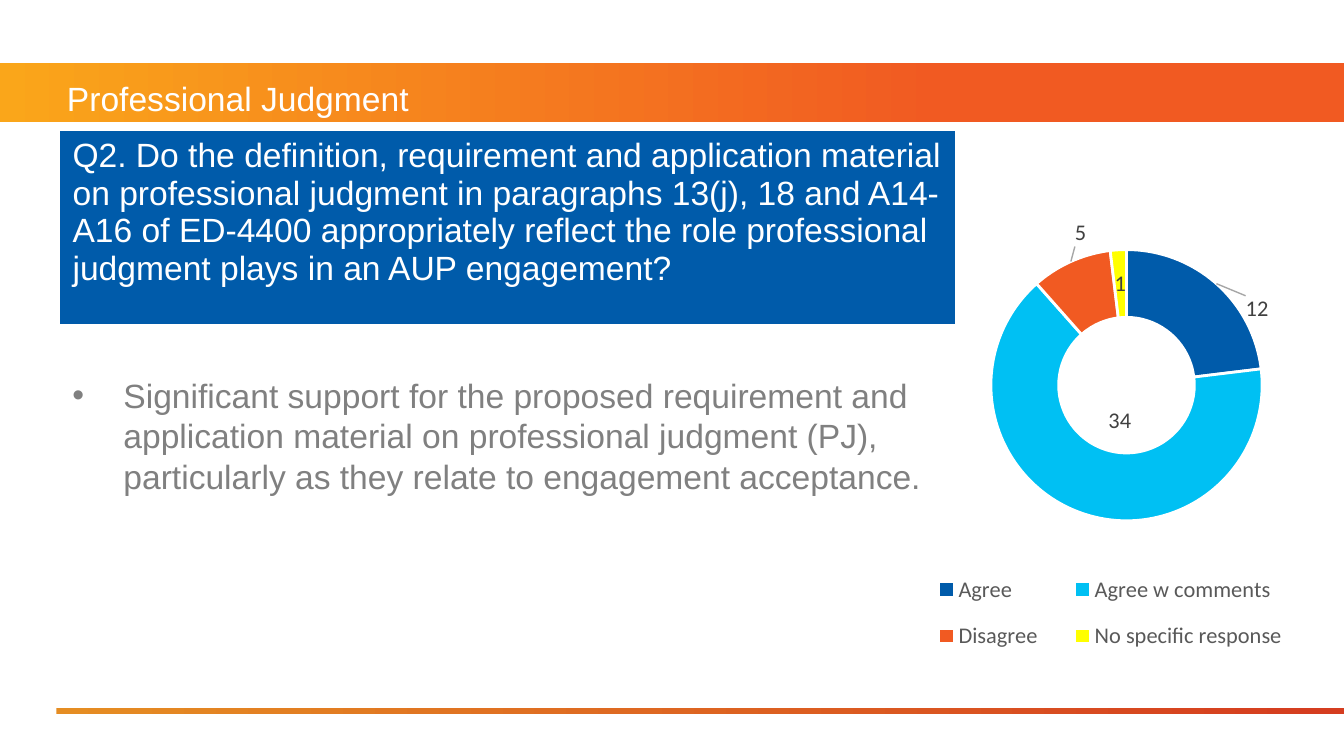
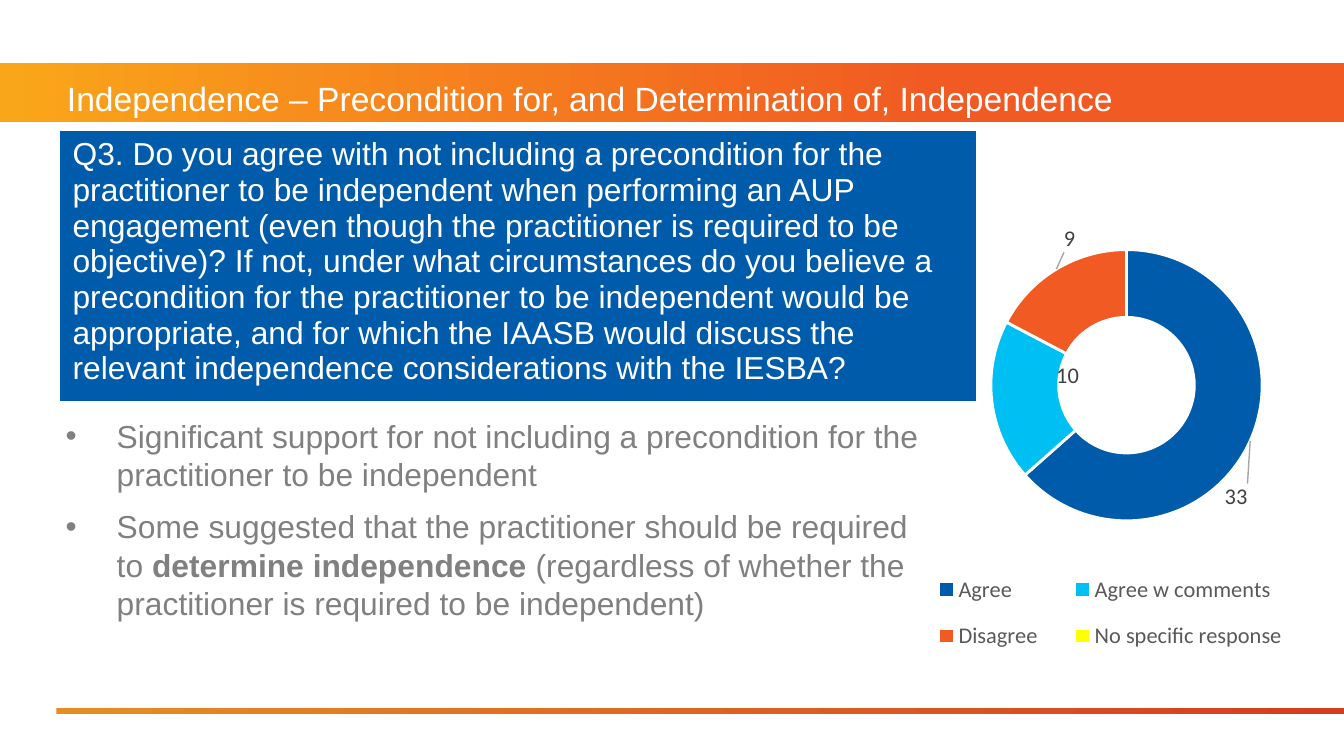
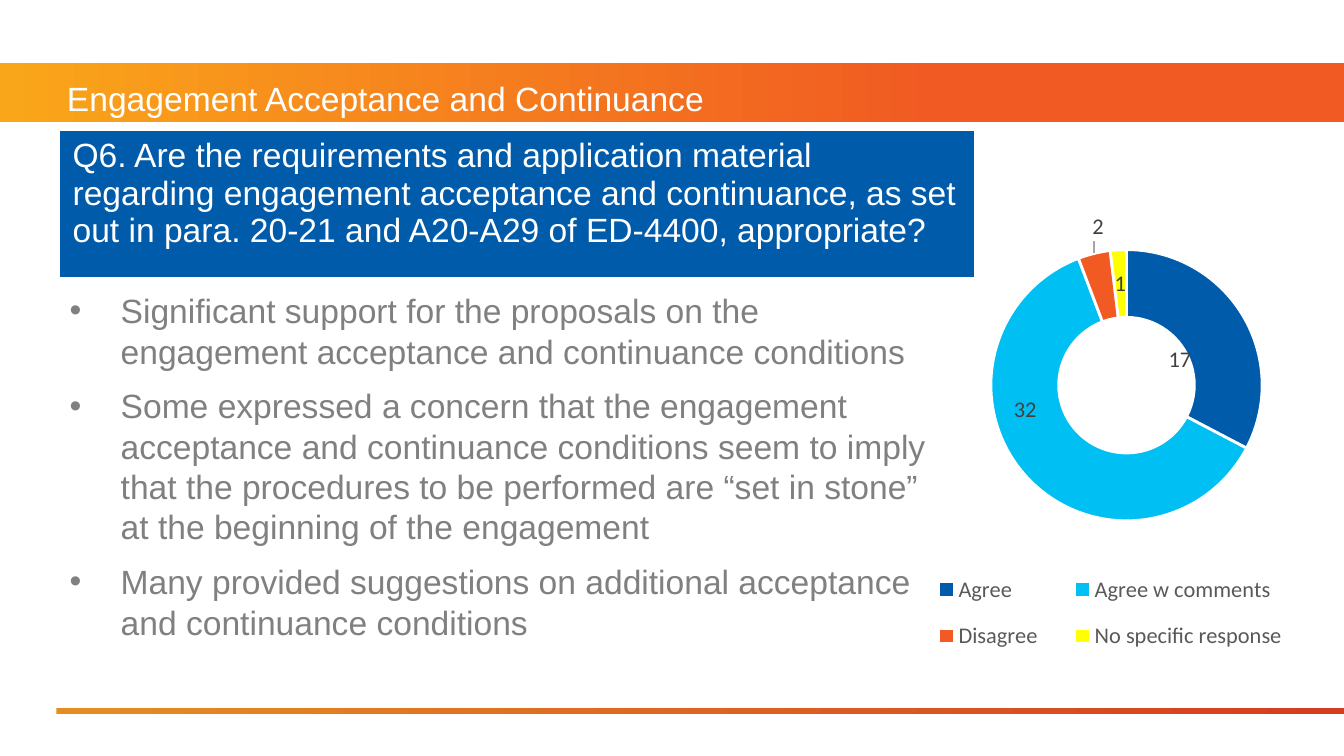
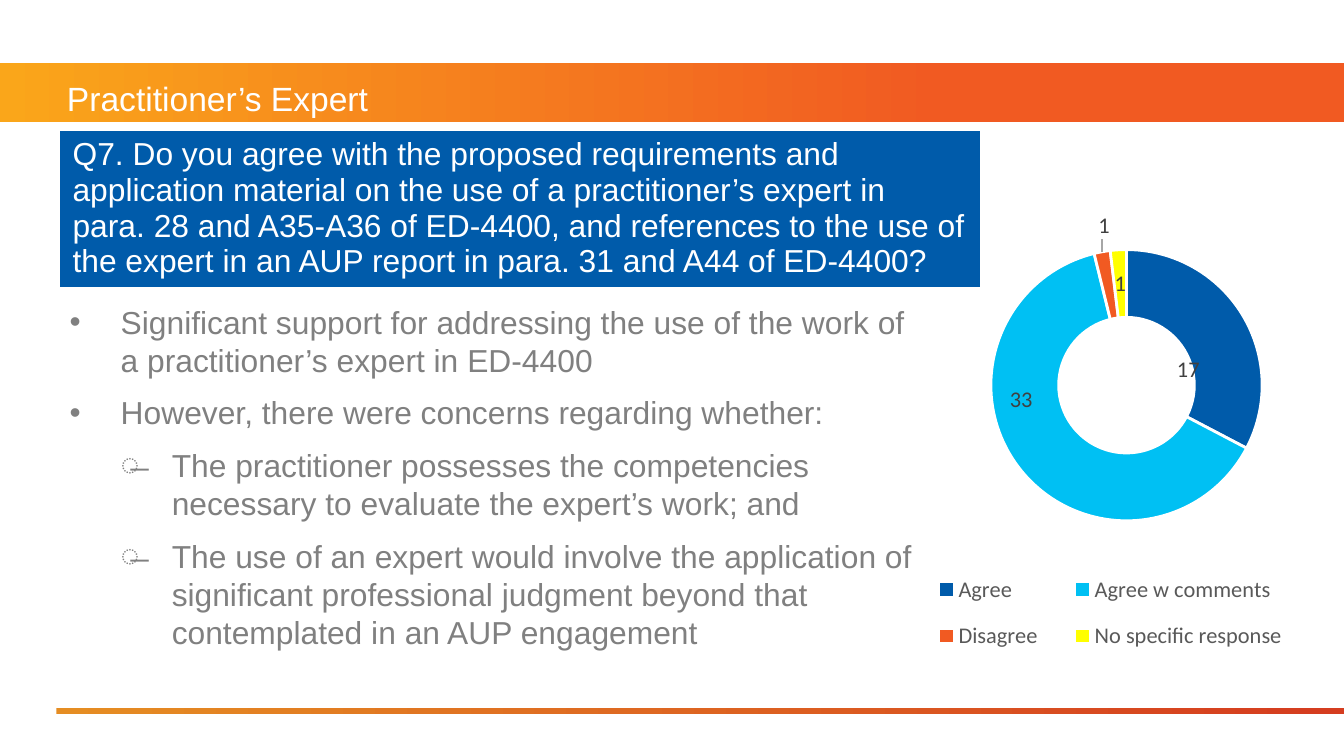
import copy
import lxml.etree
import pptx
import pptx.chart.data
import pptx.dml.color
import pptx.enum.chart
import pptx.enum.shapes
import pptx.enum.text
import pptx.oxml
import pptx.oxml.ns
import pptx.util

Inches = pptx.util.Inches
qn = pptx.oxml.ns.qn

COLORS = {
    "white": "FFFFFF", "gray": "808080", "blue": "005BAA", "cyan": "00C0F3",
    "orange": "F15A22", "yellow": "FFFF00", "amber": "FAA61A",
    "footer_start": "E58D23", "footer_end": "D53D20",
    "label": "404040", "legend": "595959", "leader": "A6A6A6", "black": "000000",
}
RGB = {name: pptx.dml.color.RGBColor.from_string(value) for name, value in COLORS.items()}

CATEGORIES = ["Agree", "Agree w comments", "Disagree", "No specific response"]
POINT_COLORS = ["blue", "cyan", "orange", "yellow"]
BULLETS = ["•", "̶"]

BANDS = [
    (0, 0.47, 10, 0.44, [("amber", 0), ("orange", 0.7)]),
    (0.42, 5.27, 9.58, 0.04, [("footer_start", 0), ("footer_end", 0.99)]),
]

SLIDES = [
    {
        "title": "Professional Judgment",
        "size": 18,
        "question": "Q2. Do the definition, requirement and application material on professional judgment in paragraphs 13(j), 18 and A14-A16 of ED-4400 appropriately reflect the role professional judgment plays in an AUP engagement?",
        "question_size": (6.67, 1.46),
        "body_box": (0.44, 2.74, 6.69, 1.92),
        "body": [
            (0, ["Significant support for the proposed requirement and application material on professional judgment (PJ), particularly as they relate to engagement acceptance."]),
        ],
        "values": [12, 34, 5, 1],
        "label_offsets": [(0.15, 0), (0.07, -0.11), (-0.01, -0.11)],
    },
    {
        "title": "Independence – Precondition for, and Determination of, Independence",
        "size": 17,
        "question": "Q3. Do you agree with not including a precondition for the practitioner to be independent when performing an AUP engagement (even though the practitioner is required to be objective)? If not, under what circumstances do you believe a precondition for the practitioner to be independent would be appropriate, and for which the IAASB would discuss the relevant independence considerations with the IESBA?",
        "question_size": (6.83, 2.03),
        "body_box": (0.39, 3.05, 6.72, 1.63),
        "body": [
            (0, ["Significant support for not including a precondition for the practitioner to be independent"]),
            (0, ["Some suggested that the practitioner should be required to ",
                 "determine independence ",
                 "(regardless of whether the practitioner is required to be independent)"]),
        ],
        "values": [33, 10, 9, 0],
        "label_offsets": [(0.04, 0.13), (0.1, -0.04), (-0.01, -0.11)],
    },
    {
        "title": "Engagement Acceptance and Continuance",
        "size": 18,
        "question": "Q6. Are the requirements and application material regarding engagement acceptance and continuance, as set out in para. 20-21 and A20-A29 of ED-4400, appropriate?",
        "question_size": (6.81, 1.11),
        "body_box": (0.42, 2.11, 6.6, 2.88),
        "body": [
            (0, ["Significant support for the proposals on the engagement acceptance and continuance conditions"]),
            (0, ["Some expressed a concern that the engagement acceptance and continuance conditions seem to imply that the procedures to be performed are “set in stone” at the beginning of the engagement"]),
            (0, ["Many provided suggestions on additional acceptance and continuance conditions"]),
        ],
        "values": [17, 32, 2, 1],
        "label_offsets": [(-0.08, 0.05), (-0.06, -0.08), (-0.01, -0.11)],
    },
    {
        "title": "Practitioner’s Expert",
        "size": 17,
        "question": "Q7. Do you agree with the proposed requirements and application material on the use of a practitioner’s expert in para. 28 and A35-A36 of ED-4400, and references to the use of the expert in an AUP report in para. 31 and A44 of ED-4400?",
        "question_size": (6.86, 1.11),
        "body_box": (0.42, 2.2, 6.6, 2.89),
        "body": [
            (0, ["Significant support for addressing the use of the work of a practitioner’s expert in ED-4400"]),
            (0, ["However, there were concerns regarding whether:"]),
            (1, ["The practitioner possesses the competencies necessary to evaluate the expert’s work; and"]),
            (1, ["The use of an expert would involve the application of significant professional judgment beyond that contemplated in an AUP engagement"]),
        ],
        "values": [17, 33, 1, 1],
        "label_offsets": [(-0.06, 0.07), (-0.06, -0.09), (-0.01, -0.11)],
    },
]


def write_text(paragraph, pieces, size=18, color="white", level=None, space_before=0):
    if level is not None:
        properties = paragraph._p.get_or_add_pPr()
        properties.set("marL", str(Inches(0.38 * (level + 1))))
        properties.set("indent", str(Inches(-0.38)))
        lxml.etree.SubElement(properties, qn("a:buFont")).set("typeface", "Arial")
        lxml.etree.SubElement(properties, qn("a:buChar")).set("char", BULLETS[level])
        paragraph.level = level
    paragraph.space_before = pptx.util.Pt(space_before)
    for index, piece in enumerate(pieces):
        run = paragraph.add_run()
        run.text = piece
        run.font.name = "Arial"
        run.font.size = pptx.util.Pt(size)
        run.font.bold = index % 2 == 1
        run.font.color.rgb = RGB[color]


def make_layout(x, y, width=None, height=None, inner=False):
    layout = pptx.oxml.parse_xml(f'<c:layout {pptx.oxml.ns.nsdecls("c")}><c:manualLayout/></c:layout>')
    settings = [("x", x), ("y", y)]
    if width is not None:
        settings = [("xMode", "edge"), ("yMode", "edge")] + settings + [("w", width), ("h", height)]
    if inner:
        settings.insert(0, ("layoutTarget", "inner"))
    for name, value in settings:
        lxml.etree.SubElement(layout[0], qn(f"c:{name}")).set("val", str(value))
    return layout


presentation = pptx.Presentation()
presentation.slide_width = Inches(10)
presentation.slide_height = Inches(10) * 9 // 16

for content in SLIDES:
    slide = presentation.slides.add_slide(presentation.slide_layouts[6])

    for left, top, width, height, stops in BANDS:
        band = slide.shapes.add_shape(
            pptx.enum.shapes.MSO_SHAPE.RECTANGLE,
            Inches(left), Inches(top), Inches(width), Inches(height))
        band.shadow.inherit = False
        band.line.fill.background()
        band.fill.gradient()
        band.fill.gradient_angle = 0
        for stop, (color, position) in zip(band.fill.gradient_stops, stops):
            stop.color.rgb = RGB[color]
            stop.position = position

    title = slide.shapes.add_textbox(Inches(0.4), Inches(0.53), Inches(8.25), Inches(0.44)).text_frame
    title.word_wrap = True
    title.vertical_anchor = pptx.enum.text.MSO_ANCHOR.TOP
    write_text(title.paragraphs[0], [content["title"]])

    body = slide.shapes.add_textbox(*[Inches(length) for length in content["body_box"]]).text_frame
    body.word_wrap = True
    for index, (level, pieces) in enumerate(content["body"]):
        paragraph = body.add_paragraph() if index else body.paragraphs[0]
        write_text(paragraph, pieces, size=content["size"], color="gray", level=level,
                   space_before=7.8 if index else 0)

    width, height = content["question_size"]
    table = slide.shapes.add_table(1, 1, Inches(0.44), Inches(0.97), Inches(width), Inches(height)).table
    table.horz_banding = False
    question = table.cell(0, 0)
    question.margin_bottom = 0
    question.fill.solid()
    question.fill.fore_color.rgb = RGB["blue"]
    write_text(question.text_frame.paragraphs[0], [content["question"]], size=content["size"])
    question.text_frame.paragraphs[0].line_spacing = 1.0
    for index, (side, points) in enumerate([("L", 1), ("R", 1), ("T", 1), ("B", 3)]):
        border = pptx.oxml.parse_xml(
            f'<a:ln{side} {pptx.oxml.ns.nsdecls("a")} w="{pptx.util.Pt(points)}"><a:solidFill>'
            f'<a:srgbClr val="{COLORS["white"]}"/></a:solidFill></a:ln{side}>')
        question._tc.get_or_add_tcPr().insert(index, border)

    chart_data = pptx.chart.data.CategoryChartData()
    chart_data.categories = CATEGORIES
    chart_data.add_series("Series 1", content["values"])
    chart = slide.shapes.add_chart(
        pptx.enum.chart.XL_CHART_TYPE.DOUGHNUT,
        Inches(6.7), Inches(0.97), Inches(3.13), Inches(4.01), chart_data).chart
    chart.has_title = False
    chart.font.name = "Calibri"
    chart.font.size = pptx.util.Pt(10)
    chart.font.color.rgb = RGB["black"]

    chart.has_legend = True
    chart.legend.position = pptx.enum.chart.XL_LEGEND_POSITION.BOTTOM
    chart.legend.include_in_layout = False
    chart.legend.font.name = "Calibri"
    chart.legend.font.size = pptx.util.Pt(12)
    chart.legend.font.color.rgb = RGB["legend"]

    chart_space = chart._chartSpace
    for tag, layout in [("c:plotArea", make_layout(0.215, 0.189, 0.645, 0.568, inner=True)),
                        ("c:legend", make_layout(0.02, 0.79, 0.96, 0.21))]:
        parent = next(chart_space.iter(qn(tag)))
        for old_layout in parent.findall(qn("c:layout")):
            parent.remove(old_layout)
        parent.insert(0 if tag == "c:plotArea" else 1, layout)
    next(chart_space.iter(qn("c:holeSize"))).set("val", "75")

    plot = chart.plots[0]
    plot.vary_by_categories = True
    series = plot.series[0]
    for index, color in enumerate(POINT_COLORS):
        point_format = series.points[index].format
        point_format.fill.solid()
        point_format.fill.fore_color.rgb = RGB[color]
        point_format.line.color.rgb = RGB["white"]
        point_format.line.width = pptx.util.Pt(1.5)

    labels = series.data_labels
    labels.show_value = True
    labels.show_percentage = False
    labels.number_format = "0;;"
    labels.number_format_is_linked = False
    labels.font.name = "Calibri"
    labels.font.size = pptx.util.Pt(12)
    labels.font.color.rgb = RGB["label"]

    labels_element = series._element.find(qn("c:dLbls"))
    for child in labels_element.findall(qn("c:showLeaderLines")):
        labels_element.remove(child)
    shared_settings = list(labels_element)
    for index, (x, y) in enumerate(content["label_offsets"]):
        label = lxml.etree.Element(qn("c:dLbl"))
        lxml.etree.SubElement(label, qn("c:idx")).set("val", str(index))
        label.append(make_layout(x, y))
        label.extend([copy.deepcopy(setting) for setting in shared_settings])
        labels_element.insert(index, label)
    lxml.etree.SubElement(labels_element, qn("c:showLeaderLines")).set("val", "1")
    labels_element.append(pptx.oxml.parse_xml(
        f'<c:leaderLines {pptx.oxml.ns.nsdecls("c", "a")}><c:spPr><a:ln w="9525"><a:solidFill>'
        f'<a:srgbClr val="{COLORS["leader"]}"/></a:solidFill></a:ln></c:spPr></c:leaderLines>'))

presentation.save("out.pptx")
